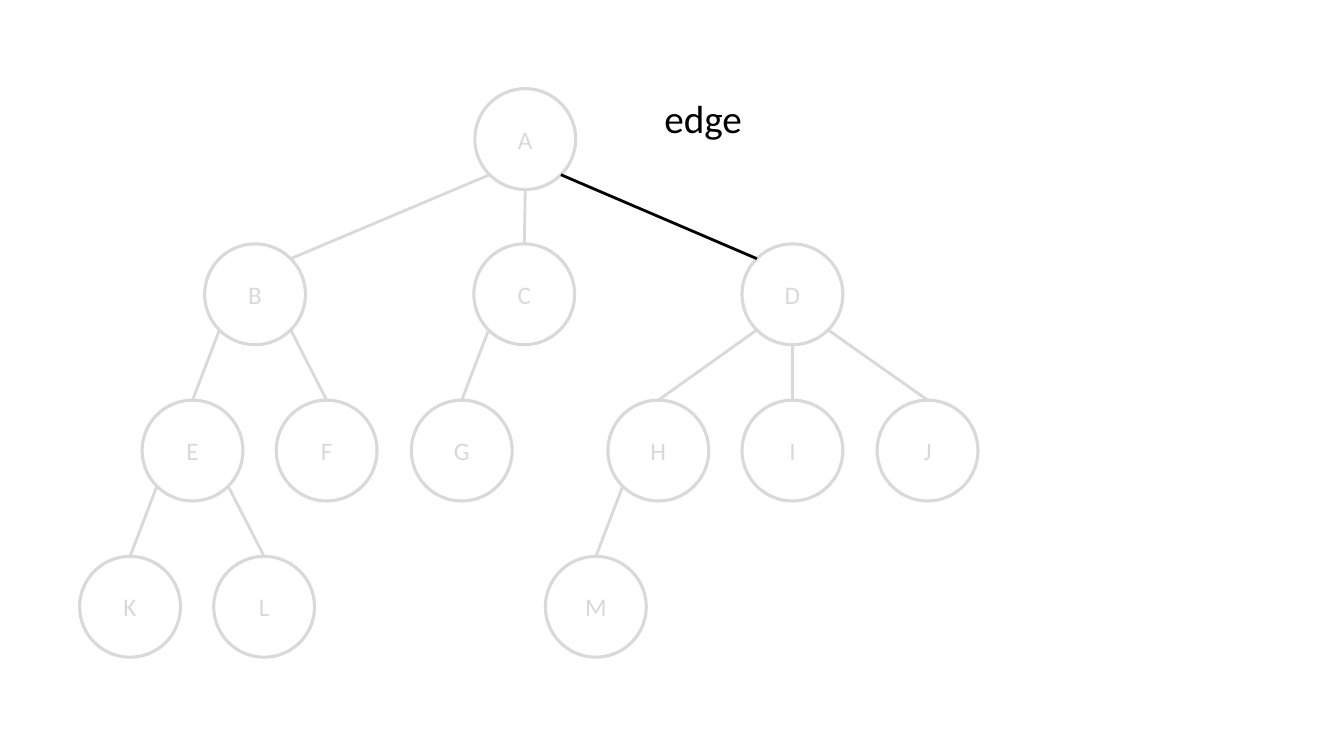
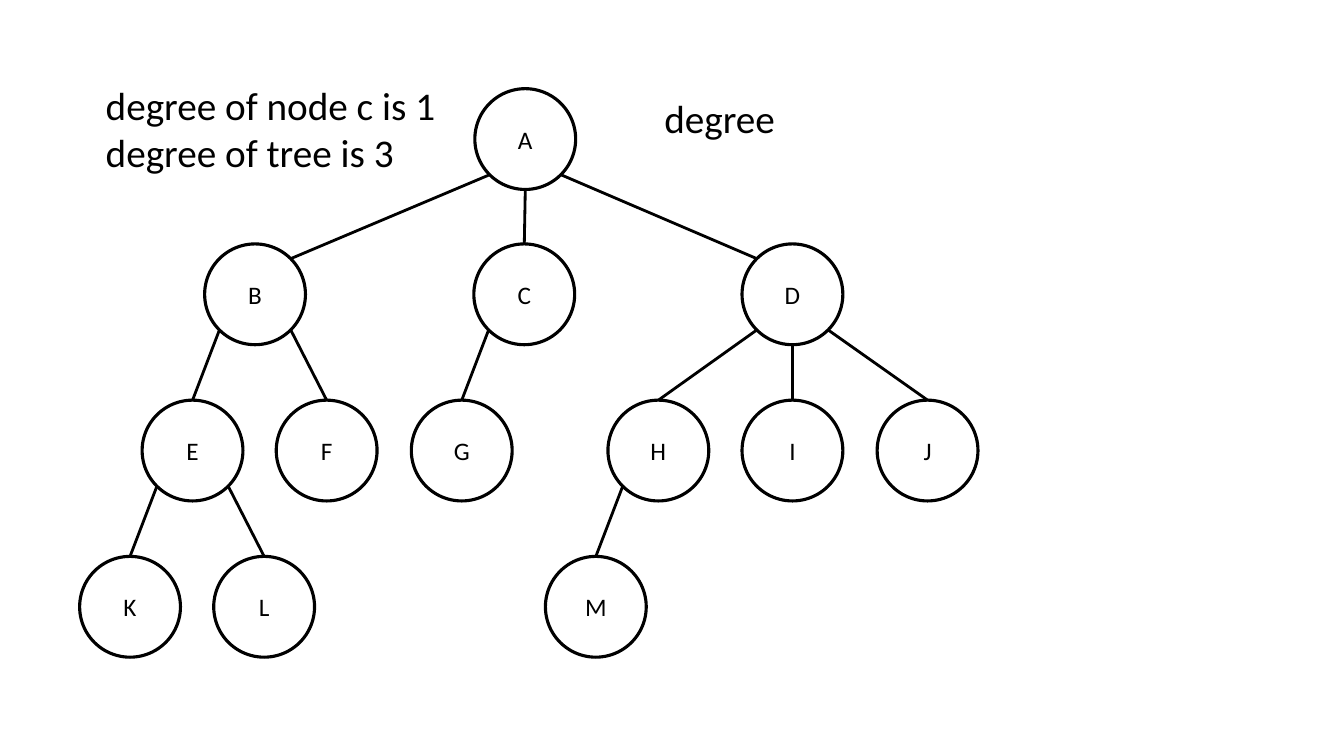
import math

from lxml import etree
from pptx import Presentation
from pptx import util as u
from pptx.dml import color
from pptx.enum import shapes, text
from pptx.oxml import ns

FONT = "Calibri"
BLACK, GREY, WHITE = "000000", "D9D9D9", "FFFFFF"
SIZE = 1
TOPS = [0.88, 2.42, 3.97, 5.52]
ROWS = [
    {"A": 4.71},
    {"B": 2.03, "C": 4.7, "D": 7.36},
    {"E": 1.41, "F": 2.74, "G": 4.08, "H": 6.03, "I": 7.36, "J": 8.7},
    {"K": 0.79, "L": 2.12, "M": 5.41},
]
NODES = {name: (left, top) for row, top in zip(ROWS, TOPS) for name, left in row.items()}

TOP, TOP_LEFT, BOTTOM_LEFT, BOTTOM, BOTTOM_RIGHT, TOP_RIGHT = 0, 1, 3, 4, 5, 7
EDGES = [
    ("A", BOTTOM, "C", TOP),
    ("A", BOTTOM_RIGHT, "D", TOP_LEFT),
    ("A", BOTTOM_LEFT, "B", TOP_RIGHT),
    ("B", BOTTOM_LEFT, "E", TOP),
    ("B", BOTTOM_RIGHT, "F", TOP),
    ("E", BOTTOM_LEFT, "K", TOP),
    ("E", BOTTOM_RIGHT, "L", TOP),
    ("C", BOTTOM_LEFT, "G", TOP),
    ("D", BOTTOM_LEFT, "H", TOP),
    ("D", BOTTOM_RIGHT, "J", TOP),
    ("D", BOTTOM, "I", TOP),
    ("H", BOTTOM_LEFT, "M", TOP),
]

SLIDES = [
    (GREY, "AD", [("edge", 6.49, 0.89, 0.98, 0.57)]),
    (BLACK, "", [
        ("degree", 6.49, 0.89, 1.31, 0.57),
        ("degree of node c is 1\ndegree of tree is 3", 0.95, 0.76, 3.51, 1.04),
    ]),
]


def rgb(value):
    return color.RGBColor.from_string(value)


def site_point(name, site):
    left, top = NODES[name]
    angle = math.radians(90 + 45 * site)
    x = left + SIZE / 2 * (1 + math.cos(angle))
    y = top + SIZE / 2 * (1 - math.sin(angle))
    return u.Inches(x), u.Inches(y)


prs = Presentation()
prs.slide_width, prs.slide_height = u.Inches(13.33), u.Inches(7.5)

for tree_color, highlight, labels in SLIDES:
    s = prs.slides.add_slide(prs.slide_layouts[6])

    circles = {}
    for row in reversed(ROWS):
        for name in row:
            left, top = NODES[name]
            sp = s.shapes.add_shape(shapes.MSO_SHAPE.OVAL, u.Inches(left), u.Inches(top),
                                    u.Inches(SIZE), u.Inches(SIZE))
            sp.shadow.inherit = False
            sp.fill.solid()
            sp.fill.fore_color.rgb = rgb(WHITE)
            sp.line.color.rgb = rgb(tree_color)
            sp.line.width = u.Pt(2.25)
            tf = sp.text_frame
            tf.text = name
            tf.vertical_anchor = text.MSO_ANCHOR.MIDDLE
            p = tf.paragraphs[0]
            p.alignment = text.PP_ALIGN.CENTER
            r = p.runs[0]
            r.font.name, r.font.size = FONT, u.Pt(18)
            r.font.color.rgb = rgb(tree_color)
            circles[name] = sp

    for parent, parent_site, child, child_site in EDGES:
        start, end = site_point(parent, parent_site), site_point(child, child_site)
        c = s.shapes.add_connector(shapes.MSO_CONNECTOR.STRAIGHT, *start, *end)
        c.begin_connect(circles[parent], TOP)
        c.end_connect(circles[child], TOP)
        c.begin_x, c.begin_y = start
        c.end_x, c.end_y = end
        for tag, site in (("a:stCxn", parent_site), ("a:endCxn", child_site)):
            c._element.find(".//" + ns.qn(tag)).set("idx", str(site))
        c.line.color.rgb = rgb(BLACK if parent + child == highlight else tree_color)
        c.line.width = u.Pt(2)
        etree.SubElement(c._element.spPr, ns.qn("a:effectLst"))

    for label, left, top, width, height in labels:
        sp = s.shapes.add_textbox(u.Inches(left), u.Inches(top), u.Inches(width), u.Inches(height))
        tf = sp.text_frame
        tf.text = label
        tf.word_wrap = False
        tf.auto_size = text.MSO_AUTO_SIZE.SHAPE_TO_FIT_TEXT
        for p in tf.paragraphs:
            r = p.runs[0]
            r.font.name, r.font.size = FONT, u.Pt(28)
            r.font.color.rgb = rgb(BLACK)

prs.save("out.pptx")
